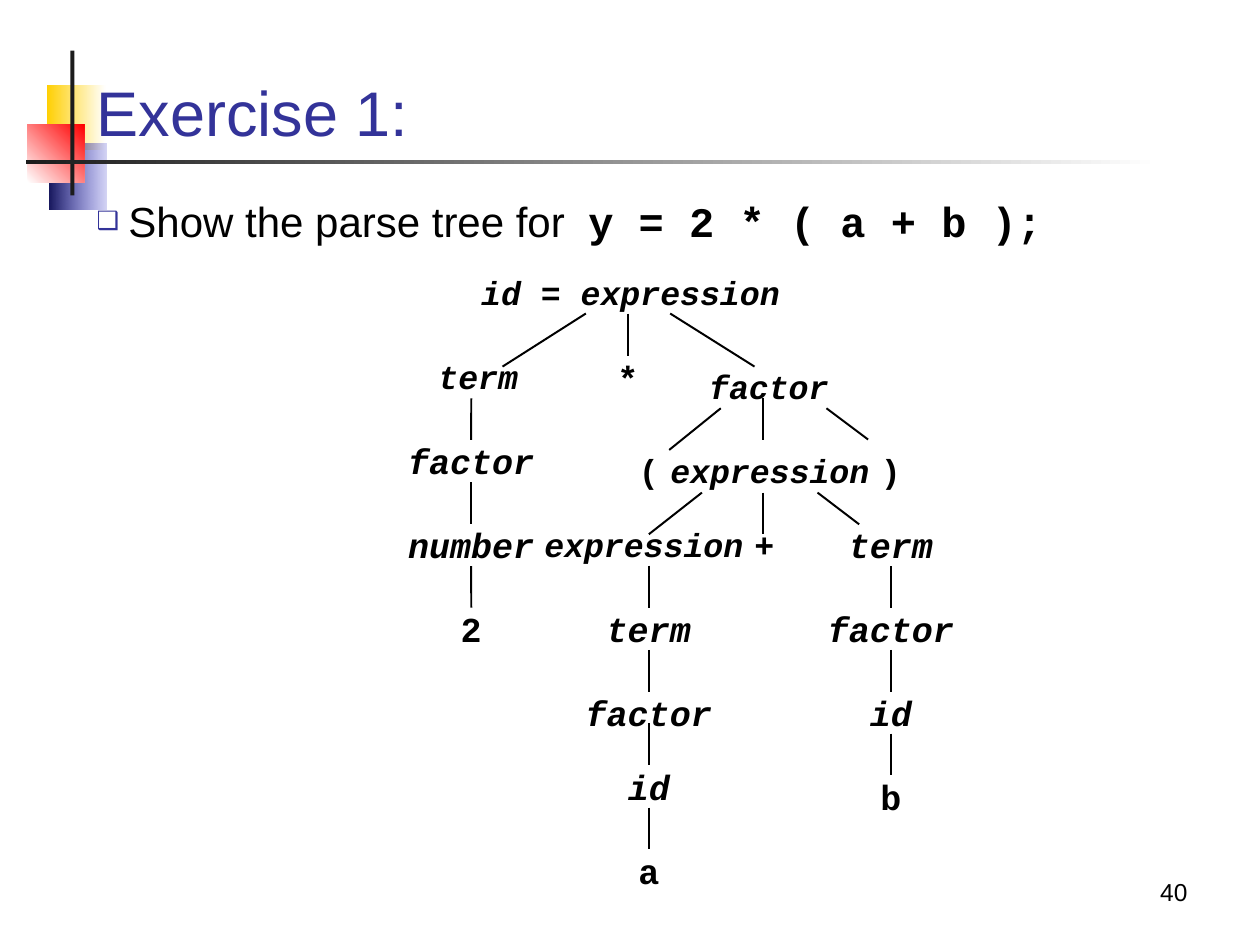
from dataclasses import dataclass
from itertools import pairwise
from typing import Optional

from lxml.etree import SubElement
from pptx import Presentation
from pptx.dml.color import RGBColor as RGB
from pptx.enum.shapes import MSO_CONNECTOR as CONN, MSO_SHAPE as SHAPE
from pptx.enum.text import MSO_ANCHOR as ANCHOR, PP_ALIGN as ALIGN
from pptx.oxml.ns import qn
from pptx.util import Cm, Pt


@dataclass(frozen=True)
class Theme:
    sans: str = "Arial"
    mono: str = "Courier New"
    ink: str = "000000"
    heading: str = "333399"
    bar: str = "1C1C1C"
    white: str = "FFFFFF"
    yellow: str = "FFCF01"
    navy: str = "18185E"
    blue: str = "3333CC"
    red: str = "FF0000"
    title: int = 36
    body: int = 24
    node: int = 20
    small_node: int = 19
    number: int = 14
    edge: float = 1.13


@dataclass(frozen=True)
class Block:
    box: tuple[float, float, float, float]
    start: str
    end: Optional[str] = None  # no end colour means a solid fill
    angle: int = 0
    end_alpha: Optional[int] = None


@dataclass(frozen=True)
class Node:
    key: str
    text: str
    x: float  # centre
    y: float  # top
    size: int
    italic: bool = True


T = Theme()

# Tree grid, in centimetres
LEFT, STAR, MIDDLE, INNER, RIGHT = 9.5, 12.66, 13.08, 15.39, 17.96
NODE_H, FAN_DROP, SLACK = 0.85, 0.2, 0.06


def row(n: int) -> float:
    return round(5.49 + 1.69 * n, 2)


def add_block(s, block: Block) -> None:
    sp = s.shapes.add_shape(SHAPE.RECTANGLE, *map(Cm, block.box))
    sp.shadow.inherit = False
    sp.line.fill.background()
    if block.end is None:
        sp.fill.solid()
        sp.fill.fore_color.rgb = RGB.from_string(block.start)
        return
    sp.fill.gradient()
    sp.fill.gradient_angle = block.angle
    for stop, color in zip(sp.fill.gradient_stops, (block.start, block.end)):
        stop.color.rgb = RGB.from_string(color)
    if block.end_alpha is not None:
        color = sp._element.spPr.findall(".//" + qn("a:srgbClr"))[-1]
        SubElement(color, qn("a:alpha"), val=str(block.end_alpha * 1000))


def add_run(p, text: str, size: int, font: str = T.sans, color: str = T.ink,
            bold: bool = False, italic: bool = False) -> None:
    r = p.add_run()
    r.text = text
    r.font.name, r.font.size = font, Pt(size)
    r.font.bold, r.font.italic = bold, italic
    r.font.color.rgb = RGB.from_string(color)


def add_text(s, left: float, top: float, width: float, height: float,
             anchor=ANCHOR.TOP, align=ALIGN.LEFT, wrap: bool = True):
    sp = s.shapes.add_textbox(Cm(left), Cm(top), Cm(width), Cm(height))
    tf = sp.text_frame
    tf.word_wrap = wrap
    tf.vertical_anchor = anchor
    p = tf.paragraphs[0]
    p.alignment = align
    return sp, p


def add_bullet(p, char: str, color: str, percent: int, indent: float) -> None:
    pPr = p._p.get_or_add_pPr()
    pPr.set("marL", str(Cm(indent)))
    pPr.set("indent", str(-Cm(indent)))
    SubElement(SubElement(pPr, qn("a:buClr")), qn("a:srgbClr"), val=color)
    SubElement(pPr, qn("a:buSzPct"), val=str(percent * 1000))
    SubElement(pPr, qn("a:buFont"), typeface=T.sans)
    SubElement(pPr, qn("a:buChar"), char=char)


def add_node(s, node: Node):
    width = len(node.text) * 0.6 * Pt(node.size).cm + SLACK  # monospaced
    sp, p = add_text(s, node.x - width / 2, node.y, width, NODE_H,
                     align=ALIGN.CENTER, wrap=False)
    tf = sp.text_frame
    tf.margin_left = tf.margin_right = tf.margin_top = tf.margin_bottom = 0
    add_run(p, node.text, node.size, T.mono, bold=True, italic=node.italic)
    return sp


def add_edge(s, start: tuple[float, float] = (0, 0),
             end: tuple[float, float] = (0, 0), parent=None, child=None) -> None:
    line = s.shapes.add_connector(CONN.STRAIGHT, *map(Cm, (*start, *end)))
    if parent is not None:
        line.begin_connect(parent, 2)
    if child is not None:
        line.end_connect(child, 0)
    line.line.color.rgb = RGB.from_string(T.ink)
    line.line.width = Pt(T.edge)
    SubElement(line._element.spPr, qn("a:effectLst"))


BLOCKS = [
    Block((0.94, 1.71, 1.19, 1.32), T.yellow, T.white),
    Block((0.99, 2.9, 1.15, 1.32), T.navy, T.blue, end_alpha=20),
    Block((0.56, 2.51, 1.14, 1.17), T.white, T.red, angle=45),
    Block((1.42, 1.02, 0.08, 2.92), T.bar),
    Block((0.53, 3.23, 22.86, 0.08), T.bar, T.white),
]

NODES = [
    Node("root", "id = expression", 12.71, row(0), T.small_node),
    # Left branch
    Node("l_term", " term", 9.44, row(1), T.small_node),
    Node("l_factor", "factor", LEFT, row(2), T.node),
    Node("l_number", "number", LEFT, row(3), T.node),
    Node("l_leaf", "2", LEFT, row(4), T.node, False),
    Node("times", "*", STAR, row(1), T.node, False),
    # Bracketed expression
    Node("factor", " factor", 15.3, row(1) + FAN_DROP, T.small_node),
    Node("open", "(", 13.08, row(2) + FAN_DROP, T.small_node, False),
    Node("inner", "expression", 15.52, row(2) + FAN_DROP, T.small_node),
    Node("close", ")", 17.96, row(2) + FAN_DROP, T.small_node, False),
    # Middle branch
    Node("m_expr", "expression", 12.98, row(3), T.small_node),
    Node("plus", "+", 15.41, row(3), T.small_node, False),
    Node("m_term", "term", MIDDLE, row(4), T.node),
    Node("m_factor", "factor", MIDDLE, row(5), T.node),
    Node("m_id", "id", MIDDLE, row(6) - FAN_DROP, T.node),
    Node("m_leaf", "a", MIDDLE, row(7) - FAN_DROP, T.node, False),
    # Right branch
    Node("r_term", "term", RIGHT, row(3), T.node),
    Node("r_factor", "factor", RIGHT, row(4), T.node),
    Node("r_id", "id", RIGHT, row(5), T.node),
    Node("r_leaf", "b", RIGHT, row(6), T.node, False),
]

CHAINS = [
    ("l_factor", "l_number", "l_leaf"),
    ("m_term", "m_factor"),
    ("m_id", "m_leaf"),
    ("r_term", "r_factor", "r_id", "r_leaf"),
]

# Straight drops that end on the top of a node
DROPS = [((STAR, 6.32), "times"), ((LEFT, 8.03), "l_factor"),
         ((MIDDLE, 11.4), "m_term"), ((MIDDLE, 14.58), "m_id")]

# Fans under the root, the factor and the inner expression
FANS = [
    ((11.81, 6.32), (10.13, 7.39)), ((13.51, 6.32), (15.21, 7.39)),
    ((14.53, 8.23), (13.49, 9.07)), ((INNER, 8.03), (INNER, 8.86)),
    ((16.66, 8.23), (17.5, 8.86)), ((14.15, 9.93), (13.08, 10.77)),
    ((INNER, 9.93), (INNER, 10.77)), ((16.48, 9.93), (17.32, 10.57)),
]


def main() -> None:
    prs = Presentation()
    prs.slide_width, prs.slide_height = Cm(25.4), Cm(19.05)
    s = prs.slides.add_slide(prs.slide_layouts[6])

    # Corner ornament and rules
    for block in BLOCKS:
        add_block(s, block)

    # Page number, title and task
    _, p = add_text(s, 18.91, 17.12, 5.28, 1.27, ANCHOR.BOTTOM, ALIGN.RIGHT)
    add_run(p, "40", T.number)
    _, p = add_text(s, 1.7, 0.72, 22, 2.41, ANCHOR.BOTTOM)
    add_run(p, "Exercise 1:", T.title, color=T.heading)
    _, p = add_text(s, 1.7, 3.81, 22, 1.78)
    add_bullet(p, "❑", T.heading, 60, 0.64)
    add_run(p, "Show the parse tree for  ", T.body)
    add_run(p, "y = 2 * ( a + b );", T.body, T.mono, bold=True)

    # Parse tree
    boxes = {node.key: add_node(s, node) for node in NODES}
    for chain in CHAINS:
        for parent, child in pairwise(chain):
            add_edge(s, parent=boxes[parent], child=boxes[child])
    for start, child in DROPS:
        add_edge(s, start, child=boxes[child])
    for start, end in FANS:
        add_edge(s, start, end)

    prs.save("out.pptx")


if __name__ == "__main__":
    main()
